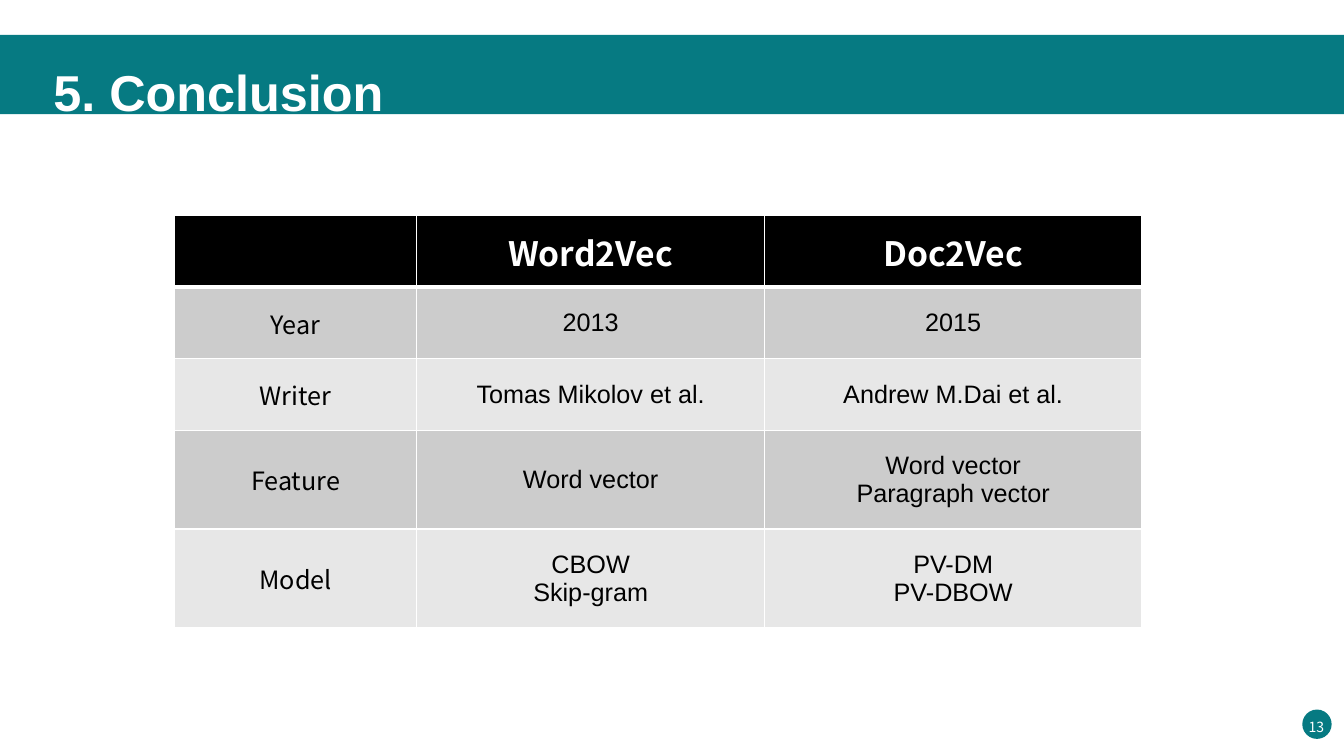
"""Builds the conclusion slide that compares Word2Vec with Doc2Vec."""
from dataclasses import dataclass

from lxml import etree
from pptx import Presentation
from pptx import util as u
from pptx.dml.color import RGBColor
from pptx.enum import shapes, text
from pptx.oxml.ns import qn


@dataclass
class Theme:
    teal: str = "067A82"
    white: str = "FFFFFF"
    black: str = "000000"
    bands: tuple = ("E7E7E7", "CCCCCC")
    sans: str = "Arial"
    noto: str = "Noto Sans CJK KR"
    title: int = 36
    head: int = 24
    body: int = 18
    small: int = 10


theme = Theme()


def style(frame, face, size, color, bold=False, align=text.PP_ALIGN.CENTER, space=None):
    for para in frame.paragraphs:
        para.alignment = align
        para.line_spacing = space
        para.font.name = face
        para.font.size = u.Pt(size)
        para.font.bold = bold
        para.font.color.rgb = RGBColor.from_string(color)


def border(cell, side, width):
    line = etree.SubElement(cell._tc.get_or_add_tcPr(), qn("a:ln" + side), w=str(u.Pt(width)))
    fill = etree.SubElement(line, qn("a:solidFill"))
    etree.SubElement(fill, qn("a:srgbClr"), val=theme.white)


deck = Presentation()
deck.slide_width, deck.slide_height = u.Cm(33.87), u.Cm(19.05)
slide = deck.slides.add_slide(deck.slide_layouts[5])

kinds = shapes.MSO_SHAPE
for kind, box in (
    (kinds.OVAL, (32.82, 17.88, 0.74, 0.74)),
    (kinds.RECTANGLE, (0, 0.88, 33.87, 2)),
):
    shape = slide.shapes.add_shape(kind, *map(u.Cm, box))
    shape.shadow.inherit = False
    shape.fill.solid()
    shape.fill.fore_color.rgb = RGBColor.from_string(theme.teal)
    shape.line.fill.background()

page = slide.shapes.add_textbox(u.Cm(32.49), u.Cm(17.78), u.Cm(1.37), u.Cm(0.84)).text_frame
page.text = "13"
page.word_wrap = False
page.vertical_anchor = text.MSO_ANCHOR.MIDDLE
style(page, theme.noto, theme.small, theme.white, space=1.5)

title = slide.shapes.title
slide.shapes._spTree.append(title._element)
title.left, title.top, title.width, title.height = map(u.Cm, (1.09, 0.53, 8.92, 2.29))
frame = title.text_frame
frame.text = "5. Conclusion"
frame.word_wrap = False
frame.auto_size = text.MSO_AUTO_SIZE.NONE
frame.vertical_anchor = text.MSO_ANCHOR.TOP
frame.margin_top = u.Cm(0.25)
style(frame, theme.sans, theme.title, theme.white, True, text.PP_ALIGN.LEFT, 1.5)

rows = [
    ("", "Word2Vec", "Doc2Vec"),
    ("Year", "2013", "2015"),
    ("Writer", "Tomas Mikolov et al.", "Andrew M.Dai et al."),
    ("Feature", "Word vector", "Word vector\nParagraph vector"),
    ("Model", "CBOW\nSkip-gram", "PV-DM\nPV-DBOW"),
]
widths = (6.1, 8.77, 9.5)
heights = (1.8, 1.8, 1.8, 2.49, 2.49)
table = slide.shapes.add_table(
    len(rows), len(widths), u.Cm(4.4), u.Cm(5.44), u.Cm(sum(widths)), u.Cm(sum(heights))
).table
for col, width in zip(table.columns, widths):
    col.width = u.Cm(width)
for i, (row, height) in enumerate(zip(rows, heights)):
    table.rows[i].height = u.Cm(height)
    head = i == 0
    for j, words in enumerate(row):
        cell = table.cell(i, j)
        cell.text = words
        cell.vertical_anchor = text.MSO_ANCHOR.MIDDLE
        for side in "LRTB":
            border(cell, side, 3 if (i, side) in ((0, "B"), (1, "T")) else 1)
        cell.fill.solid()
        cell.fill.fore_color.rgb = RGBColor.from_string(theme.black if head else theme.bands[i % 2])
        style(
            cell.text_frame,
            theme.noto if head or j == 0 else theme.sans,
            theme.head if head else theme.body,
            theme.white if head else theme.black,
            head,
        )

deck.save("out.pptx")
